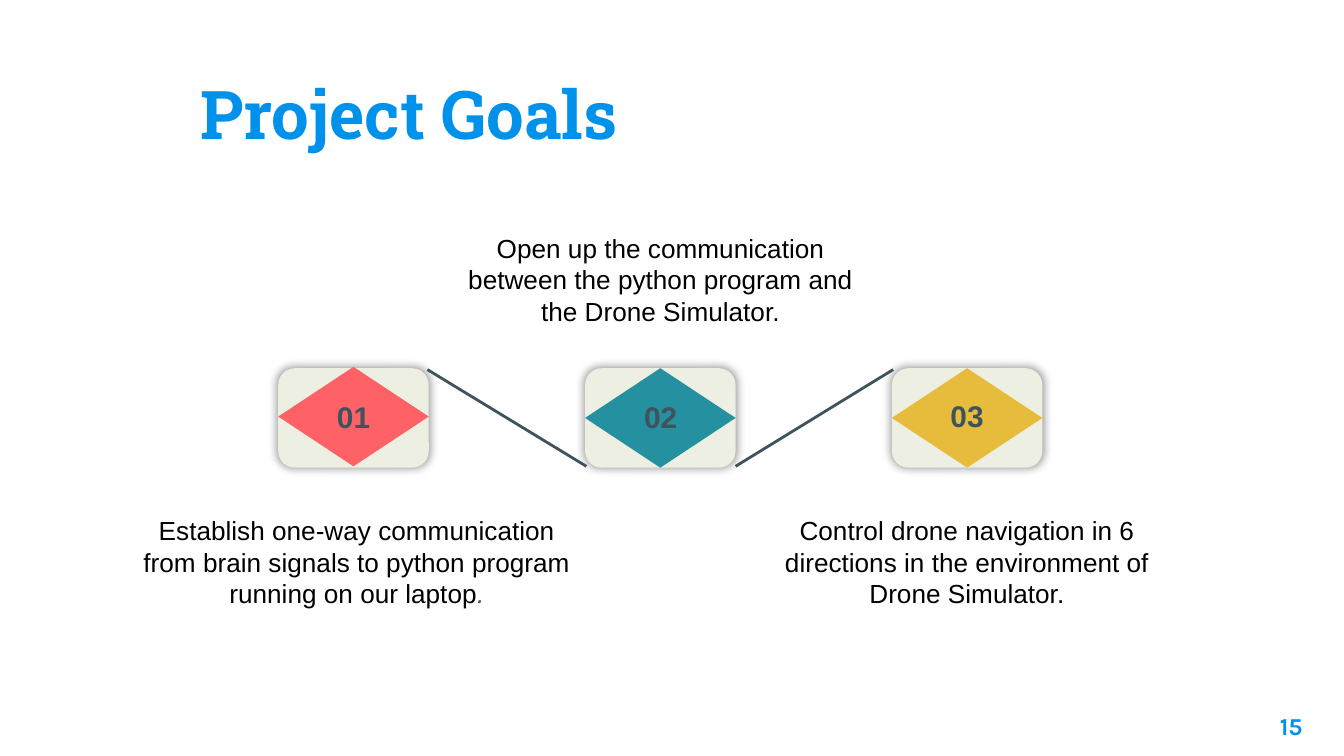
from dataclasses import dataclass
from typing import NamedTuple

from lxml.etree import SubElement
from pptx import Presentation
from pptx.dml.color import RGBColor
from pptx.enum.shapes import MSO_CONNECTOR, MSO_SHAPE
from pptx.enum.text import MSO_ANCHOR, PP_ALIGN
from pptx.oxml.ns import qn
from pptx.shapes.autoshape import Shape
from pptx.slide import Slide
from pptx.util import Inches, Pt

COLS, ROWS = 100, 56.25
CELL = Inches(0.1)


@dataclass(frozen=True)
class Theme:
    blue: str = "0091EA"
    slate: str = "3F535D"
    black: str = "000000"
    tile: str = "ECEFE1"
    red: str = "FE6266"
    teal: str = "25909F"
    gold: str = "E7BC3D"
    head: str = "Roboto Slab"
    foot: str = "Karla"
    body: str = "Arial"
    title: float = 36
    label: float = 16
    text: float = 14
    page: float = 13
    rule: float = 1.5
    blur: float = 5


class Box(NamedTuple):
    col: float
    row: float
    wide: float
    high: float


class Run(NamedTuple):
    text: str
    size: float
    font: str
    color: str
    bold: bool = False
    slant: bool = False


@dataclass(frozen=True)
class Goal:
    mark: str
    color: str
    gem: float
    tag: Box
    note: Box
    runs: tuple[Run, ...]


THEME = Theme()
LEFT, TOP, STEP, WIDE, HIGH = 20.7, 27.4, 22.83, 11.2, 7.4


def body(text: str) -> Run:
    return Run(text, THEME.text, THEME.body, THEME.black)


GOALS = (
    Goal("01", THEME.red, 27.3, Box(20.4, 29.2, 11.8, 3.7), Box(9.6, 37.8, 33.9, 13.4),
         (body("Establish one-way communication from brain signals to python program "
               "running on our laptop"),
          Run(".", THEME.text, THEME.body, THEME.slate, slant=True))),
    Goal("02", THEME.teal, TOP, Box(32.6, 29.2, 33.1, 3.7), Box(32.6, 16.8, 33.1, 10.4),
         (body("Open up the communication between the python program and "
               "the Drone Simulator."),)),
    Goal("03", THEME.gold, TOP, Box(55.4, 29.1, 33.1, 3.7), Box(55.4, 37.8, 33.1, 10.4),
         (body("Control drone navigation in 6 directions in the environment of "
               "Drone Simulator."),)),
)


def grid(*cells: float) -> list[int]:
    return [round(cell * CELL) for cell in cells]


def write(slide: Slide, box: Box, runs: tuple[Run, ...], align: PP_ALIGN = PP_ALIGN.CENTER,
          anchor: MSO_ANCHOR = MSO_ANCHOR.TOP, inset: float = 0.5) -> None:
    frame = slide.shapes.add_textbox(*grid(*box)).text_frame
    frame.word_wrap = True
    frame.vertical_anchor = anchor
    frame.margin_top = frame.margin_bottom = round(inset * CELL)
    frame.margin_left = frame.margin_right = CELL
    para = frame.paragraphs[0]
    para.alignment = align
    for item in runs:
        run = para.add_run()
        run.text = item.text
        font = run.font
        font.name, font.size = item.font, Pt(item.size)
        font.bold, font.italic = item.bold, item.slant
        font.color.rgb = RGBColor.from_string(item.color)


def block(slide: Slide, kind: MSO_SHAPE, box: Box, color: str) -> Shape:
    shape = slide.shapes.add_shape(kind, *grid(*box))
    shape.fill.solid()
    shape.fill.fore_color.rgb = RGBColor.from_string(color)
    shape.line.fill.background()
    shape.shadow.inherit = False
    return shape


def glow(shape: Shape) -> None:
    group = shape.element.spPr.find(qn("a:effectLst"))
    shade = SubElement(group, qn("a:outerShdw"), blurRad=str(Pt(THEME.blur)),
                       sx="102000", sy="102000", algn="ctr", rotWithShape="0")
    color = SubElement(shade, qn("a:srgbClr"), val=THEME.black)
    SubElement(color, qn("a:alpha"), val="40000")


def link(slide: Slide, *ends: float) -> None:
    line = slide.shapes.add_connector(MSO_CONNECTOR.STRAIGHT, *grid(*ends))
    line.line.color.rgb = RGBColor.from_string(THEME.slate)
    line.line.width = Pt(THEME.rule)
    SubElement(line.element.spPr, qn("a:effectLst"))


def main() -> None:
    deck = Presentation()
    deck.slide_width, deck.slide_height = grid(COLS, ROWS)
    slide = deck.slides.add_slide(deck.slide_layouts[6])

    write(slide, Box(13.9, -0.35, 76.4, 12.7),
          (Run("Project Goals", THEME.title, THEME.head, THEME.blue, bold=True),),
          PP_ALIGN.LEFT, MSO_ANCHOR.BOTTOM, inset=1)
    write(slide, Box(91.9, 51.95, 6, 4.3),
          (Run("15", THEME.page, THEME.foot, THEME.blue, bold=True),),
          PP_ALIGN.RIGHT, inset=1)

    spots = [LEFT + STEP * index for index in range(len(GOALS))]
    for spot in spots:
        glow(block(slide, MSO_SHAPE.ROUNDED_RECTANGLE, Box(spot, TOP, WIDE, HIGH), THEME.tile))

    high, low = TOP + 0.1, TOP + HIGH - 0.1
    first, mid, last = spots
    link(slide, first + WIDE - 0.1, high, mid + 0.1, low)
    link(slide, last + 0.1, high, mid + WIDE, low)

    for spot, goal in zip(spots, GOALS):
        block(slide, MSO_SHAPE.DIAMOND, Box(spot, goal.gem, WIDE, HIGH), goal.color)
        write(slide, goal.tag,
              (Run(goal.mark, THEME.label, THEME.body, THEME.slate, bold=True),))
        write(slide, goal.note, goal.runs)

    deck.save("out.pptx")


if __name__ == "__main__":
    main()
